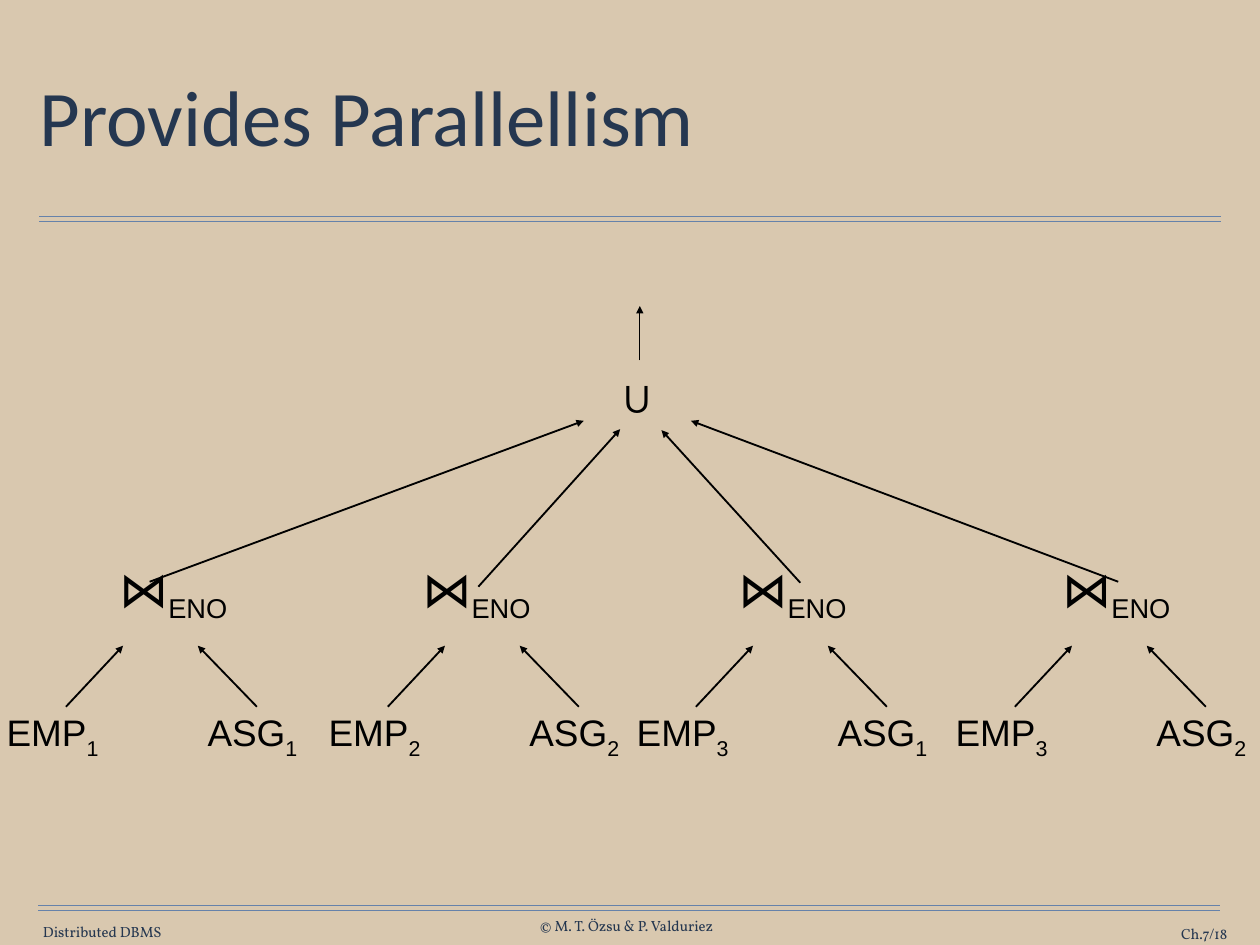
from lxml import etree
from pptx import Presentation
from pptx import util as u
from pptx.dml.color import RGBColor
from pptx.enum import shapes, text
from pptx.oxml.ns import qn

LEFT, CENTER, RIGHT = text.PP_ALIGN.LEFT, text.PP_ALIGN.CENTER, text.PP_ALIGN.RIGHT
TOP, MIDDLE = text.MSO_ANCHOR.TOP, text.MSO_ANCHOR.MIDDLE


def color(value):
    return RGBColor.from_string(value)


class TreeSlide:
    """Draws on one page; all lengths are columns and rows of a 128 x 96 grid."""
    COLUMNS, ROWS = 128, 96
    BACKGROUND, NAVY, RULE, INK = "D9C8AF", "253750", "6682AA", "000000"
    SANS, SERIF, HEADING = "Arial", "Vollkorn", "Calibri"

    def __init__(self, deck):
        self.column = deck.slide_width / self.COLUMNS
        self.row = deck.slide_height / self.ROWS
        self.page = deck.slides.add_slide(deck.slide_layouts[5])
        self.page.background.fill.solid()
        self.page.background.fill.fore_color.rgb = color(self.BACKGROUND)

    def place(self, left, top, width, height):
        return (round(left * self.column), round(top * self.row),
                round(width * self.column), round(height * self.row))

    def add_spans(self, frame, spans, align, ink, insets, anchor):
        """Fill a frame with one paragraph of (text, size, font, baseline) spans."""
        frame.margin_left = frame.margin_right = u.Inches(insets[0])
        frame.margin_top = frame.margin_bottom = u.Inches(insets[1])
        frame.vertical_anchor = anchor
        para = frame.paragraphs[0]
        para.alignment = align
        for words, size, font, baseline in spans:
            span = para.add_run()
            span.text = words
            span.font.size = u.Pt(size)
            span.font.name = font
            span.font.color.rgb = color(ink)
            if baseline:
                span.font._element.set("baseline", str(baseline * 1000))
        return para

    def title(self, words, *area):
        box = self.page.shapes.title
        box.left, box.top, box.width, box.height = self.place(*area)
        box.text_frame.auto_size = text.MSO_AUTO_SIZE.NONE
        para = self.add_spans(box.text_frame, [(words, 64, self.HEADING, 0)],
                              LEFT, self.NAVY, (0.06, 0.06), MIDDLE)
        para.line_spacing = 0.9

    def label(self, spans, *area, align=CENTER, ink=INK, insets=(0.14, 0.07),
              anchor=TOP, wrap=False):
        box = self.page.shapes.add_textbox(*self.place(*area))
        box.text_frame.word_wrap = wrap
        box.text_frame.auto_size = text.MSO_AUTO_SIZE.SHAPE_TO_FIT_TEXT
        return self.add_spans(box.text_frame, spans, align, ink, insets, anchor)

    def footer(self, words, *area, align=CENTER, wrap=False):
        self.label([(words, 12, self.SERIF, 0)], *area, align=align, ink=self.NAVY,
                   insets=(0, 0), anchor=MIDDLE, wrap=wrap)

    def line(self, start, end, ink=INK, width=1.5):
        line = self.page.shapes.add_connector(
            shapes.MSO_CONNECTOR.STRAIGHT, *self.place(*start, *end))
        line.line.color.rgb = color(ink)
        line.line.width = u.Pt(width)
        etree.SubElement(line._element.spPr, qn("a:effectLst"))
        return line

    def arrow(self, start, end, width=1.5):
        line = self.line(start, end, width=width)
        outline = line._element.spPr.find(qn("a:ln"))
        etree.SubElement(outline, qn("a:tailEnd"), type="triangle")

    def double_rule(self, left, top, width=120, gap=0.5):
        for y in (top, top + gap):
            self.line((left, y), (left + width, y), self.RULE, 1)

    def relation(self, name, index, left):
        self.label([(name, 30, self.SANS, 0), (index, 30, self.SANS, -25)],
                   left, 71.5, 12.1, 5.8)

    def join(self, center, width=13):
        para = self.label([("⋈", 40, self.SERIF, 0), ("ENO", 38, self.SANS, -25)],
                          center - width / 2, 59.5, width, 4.3, insets=(0, 0), wrap=True)
        para.line_spacing = u.Pt(31.3)

    def subtree(self, left, center, employee, assignment):
        """A join over two fragments, each with its arrow."""
        self.relation("EMP", employee, left)
        self.relation("ASG", assignment, left + 20.3)
        for start, end in ((7.4, 13.2), (26.8, 20.8)):
            self.arrow((left + start, 71.8), (left + end, 65.6))
        self.join(center)


def main():
    deck = Presentation()
    deck.slide_width, deck.slide_height = u.Inches(14.22), u.Inches(10.67)
    slide = TreeSlide(deck)

    slide.double_rule(4, 22)
    slide.double_rule(3.9, 92)
    slide.footer("Distributed DBMS", 4.2, 93.7, 12.4, 1.8)
    slide.footer("© M. T. Özsu & P. Valduriez", 54.3, 93.15, 18.7, 1.8)
    slide.footer("Ch.7/18", 110.8, 93.9, 13.9, 1.8, align=RIGHT, wrap=True)
    slide.title("Provides Parallellism", 3.5, 4.4, 121, 15.8)

    # left edge, join centre, EMP and ASG fragments, branch start and end
    subtrees = [
        (-0.7, 17.6, "1", "1", (15.2, 59.1), (59.3, 42.75)),
        (32, 48.4, "2", "2", (48.6, 59.6), (63, 43.6)),
        (63.3, 80.5, "3", "1", (81.3, 59.2), (67.2, 43.7)),
        (95.7, 113.4, "3", "2", (113.6, 59.1), (70.2, 42.75)),
    ]
    for left, center, employee, assignment, start, end in subtrees:
        slide.subtree(left, center, employee, assignment)
        slide.arrow(start, end)

    slide.label([("∪", 36, slide.SANS, 0)], 61.8, 36.9, 6, 6.75)
    slide.arrow((65, 36.6), (65, 31.1), width=1)
    deck.save("out.pptx")


if __name__ == "__main__":
    main()
